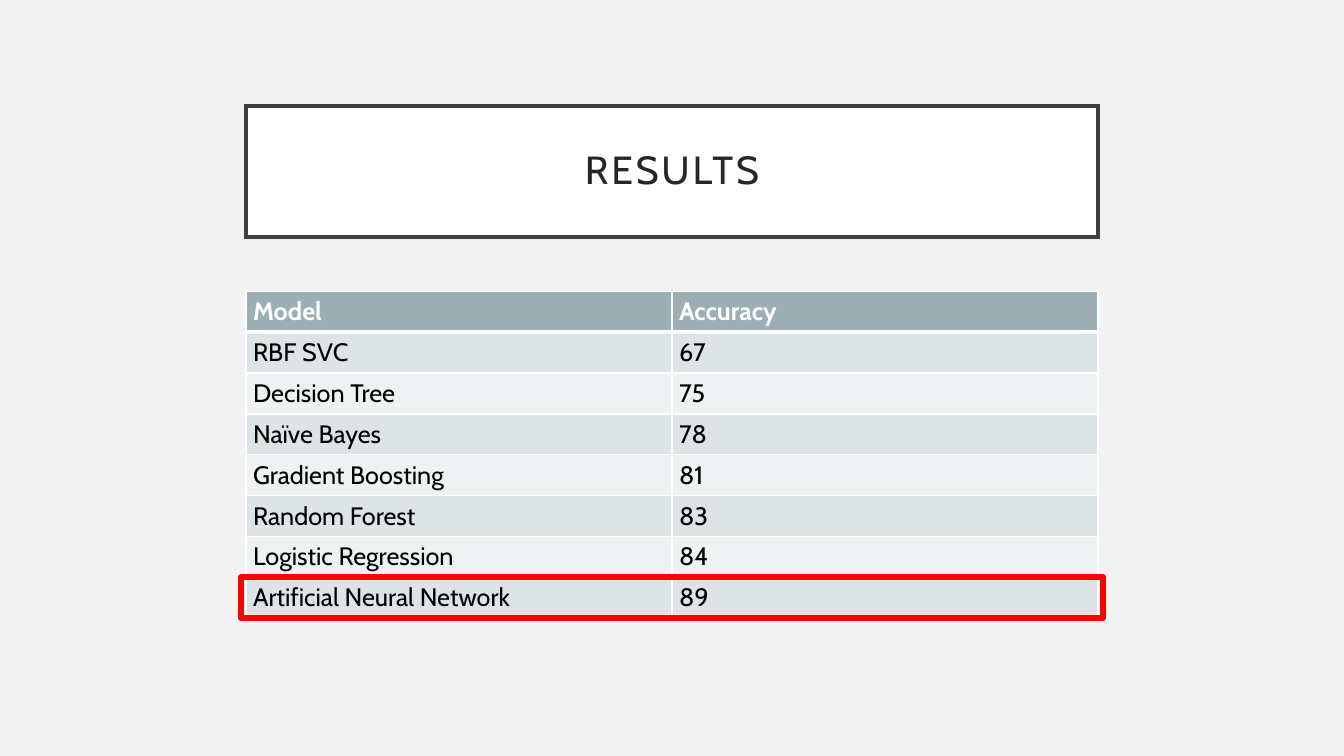
from lxml import etree
from pptx import Presentation
from pptx.dml.color import RGBColor
from pptx.enum.shapes import MSO_SHAPE
from pptx.enum.text import MSO_ANCHOR, MSO_AUTO_SIZE, PP_ALIGN
from pptx.oxml.ns import qn
from pptx.util import Inches, Pt

RECTANGLE = MSO_SHAPE.RECTANGLE
MIDDLE = MSO_ANCHOR.MIDDLE
NO_AUTOFIT = MSO_AUTO_SIZE.NONE
CENTER = PP_ALIGN.CENTER

FONT = "Cabin"
BACKGROUND = RGBColor(0xF2, 0xF2, 0xF2)
WHITE = RGBColor(0xFF, 0xFF, 0xFF)
BLACK = RGBColor(0x00, 0x00, 0x00)
RED = RGBColor(0xFF, 0x00, 0x00)
TITLE_LINE = RGBColor(0x40, 0x40, 0x40)
TITLE_TEXT = RGBColor(0x26, 0x26, 0x26)
HEADER_FILL = RGBColor(0x9B, 0xAF, 0xB5)
ODD_FILL = RGBColor(0xDE, 0xE3, 0xE5)
EVEN_FILL = RGBColor(0xEF, 0xF2, 0xF3)

RESULTS = [
    ("Model", "Accuracy"),
    ("RBF SVC", "67"),
    ("Decision Tree", "75"),
    ("Naïve Bayes", "78"),
    ("Gradient Boosting", "81"),
    ("Random Forest", "83"),
    ("Logistic Regression", "84"),
    ("Artificial Neural Network", "89"),
]


def format_run(run, size, color, bold=False):
    run.font.name = FONT
    run.font.size = Pt(size)
    run.font.color.rgb = color
    run.font.bold = bold


def set_cell_borders(cell, bottom_width, top_width):
    """Draw white borders on all four sides of a cell."""
    properties = cell._tc.get_or_add_tcPr()
    widths = {"a:lnL": 1, "a:lnR": 1, "a:lnT": top_width, "a:lnB": bottom_width}
    for index, (side, width) in enumerate(widths.items()):
        border = etree.Element(qn(side), w=str(Pt(width)))
        fill = etree.SubElement(border, qn("a:solidFill"))
        etree.SubElement(fill, qn("a:srgbClr"), val=str(WHITE))
        properties.insert(index, border)


def build_title(slide, left, top, width, height):
    title = slide.shapes.title
    title.left, title.top = Inches(left), Inches(top)
    title.width, title.height = Inches(width), Inches(height)
    title.fill.solid()
    title.fill.fore_color.rgb = WHITE
    title.line.color.rgb = TITLE_LINE
    title.line.width = Pt(2.5)
    # Sharp corners on the frame
    outline = title._element.spPr.find(qn("a:ln"))
    etree.SubElement(outline, qn("a:miter"), lim="800000")

    text_frame = title.text_frame
    text_frame.text = "RESULTS"
    text_frame.word_wrap = True
    text_frame.auto_size = NO_AUTOFIT
    text_frame.vertical_anchor = MIDDLE
    text_frame.margin_left = text_frame.margin_right = Inches(0.2)
    text_frame.margin_top = text_frame.margin_bottom = Inches(0.2)
    paragraph = text_frame.paragraphs[0]
    paragraph.alignment = CENTER
    paragraph.line_spacing = 0.9
    run = paragraph.runs[0]
    format_run(run, 28, TITLE_TEXT)
    run.font._element.set("spc", "200")  # letter spacing of 2 points


def build_results_table(slide, left, top, width, height):
    table = slide.shapes.add_table(
        len(RESULTS), len(RESULTS[0]),
        Inches(left), Inches(top), Inches(width), Inches(height),
    ).table
    for row_index, values in enumerate(RESULTS):
        is_header = row_index == 0
        body_fill = ODD_FILL if row_index % 2 else EVEN_FILL
        for column_index, value in enumerate(values):
            cell = table.cell(row_index, column_index)
            cell.text = value
            cell.margin_left = cell.margin_right = Inches(0.07)
            cell.margin_top = cell.margin_bottom = Inches(0.05)
            cell.fill.solid()
            cell.fill.fore_color.rgb = HEADER_FILL if is_header else body_fill
            set_cell_borders(cell, 3 if is_header else 1, 3 if row_index == 1 else 1)
            run = cell.text_frame.paragraphs[0].runs[0]
            format_run(run, 18, WHITE if is_header else BLACK, is_header)


def build_highlight(slide, left, top, width, height):
    frame = slide.shapes.add_shape(
        RECTANGLE, Inches(left), Inches(top), Inches(width), Inches(height)
    )
    frame.shadow.inherit = False
    frame.fill.background()
    frame.line.color.rgb = RED
    frame.line.width = Pt(4.5)


def build_results_slide(presentation):
    slide = presentation.slides.add_slide(presentation.slide_layouts[5])
    slide.background.fill.solid()
    slide.background.fill.fore_color.rgb = BACKGROUND

    left, width = 2.44, 8.45
    table_top, table_height = 2.89, 3.24
    row_height = table_height / len(RESULTS)
    overhang = 0.05

    build_title(slide, left, 1.05, width, 1.3)
    build_results_table(slide, left, table_top, width, table_height)
    # Frame around the best model in the last row
    build_highlight(
        slide, left - overhang, table_top + table_height - row_height,
        width + 2 * overhang, row_height,
    )


def main():
    presentation = Presentation()
    presentation.slide_width = Inches(13.33)
    presentation.slide_height = Inches(7.5)
    build_results_slide(presentation)
    presentation.save("out.pptx")


if __name__ == "__main__":
    main()
